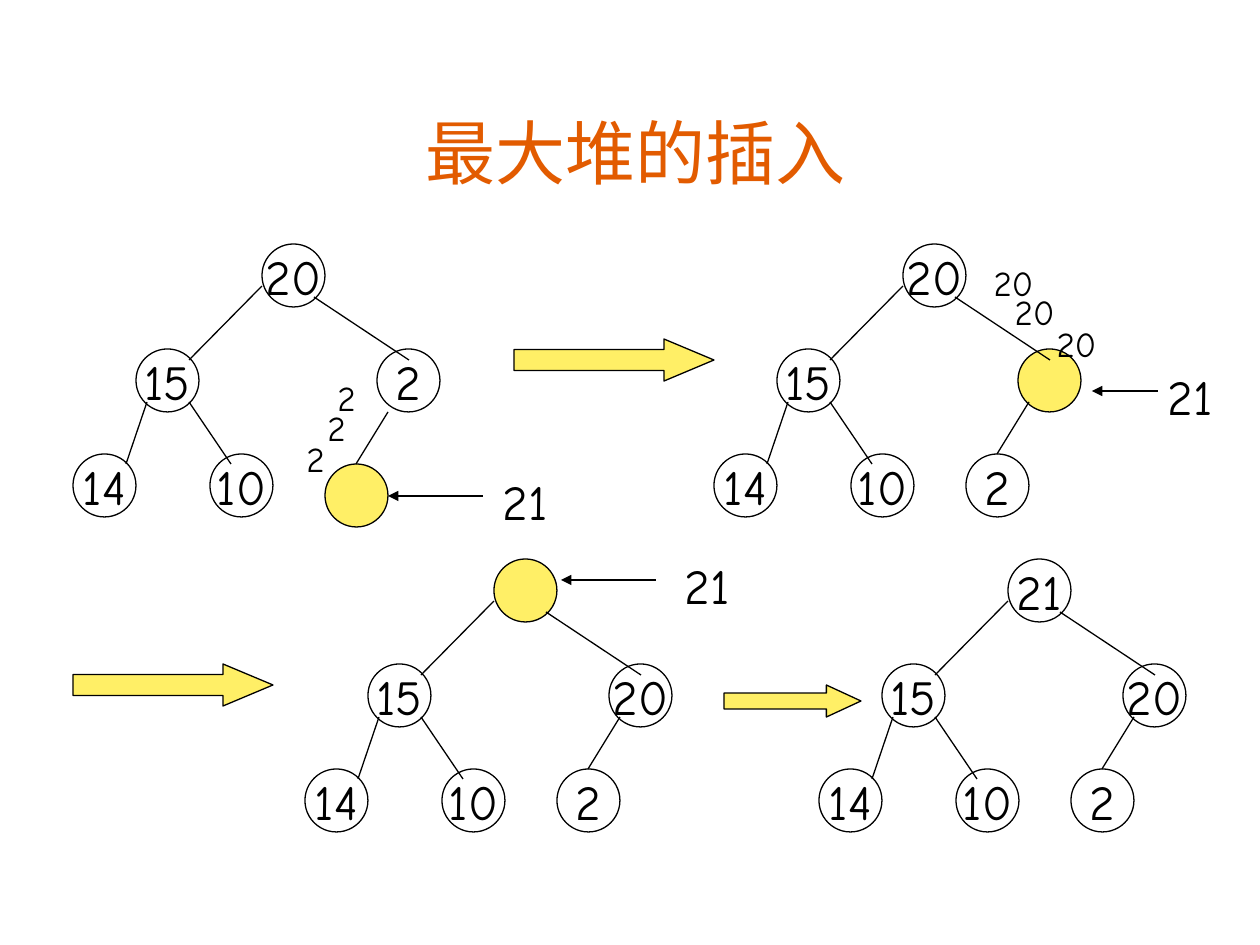
import pptx
import pptx.dml.color
import pptx.enum.shapes
import pptx.enum.text
import pptx.oxml
import pptx.oxml.ns
import pptx.util

PX = 914400 / 126
BLACK = pptx.dml.color.RGBColor(0x00, 0x00, 0x00)
YELLOW = pptx.dml.color.RGBColor(0xFF, 0xEF, 0x66)
ORANGE = pptx.dml.color.RGBColor(0xE2, 0x5B, 0x00)
SHAPE = pptx.enum.shapes.MSO_SHAPE
ANCHOR = pptx.enum.text.MSO_ANCHOR

NODE_SIZE = 63
NODES = [(189, 0), (63, 105), (304, 105), (0, 210), (137, 210), (252, 210)]
EDGES = [
    (189, 42, 116, 116),
    (241, 53, 336, 116),
    (74, 158, 53, 220),
    (116, 158, 158, 220),
    (315, 158, 283, 210),
]


def px(*values):
    return [pptx.util.Emu(round(v * PX)) for v in values]


class HeapSlide:
    font = "Comic Neue"
    title_font = "Noto Sans CJK SC"
    line_width = pptx.util.Pt(0.75)

    def __init__(self, prs):
        self.s = prs.slides.add_slide(prs.slide_layouts[5])

    def set_text(self, tf, text, size, color=BLACK, font=None):
        tf.text = text
        p = tf.paragraphs[0]
        p.alignment = pptx.enum.text.PP_ALIGN.CENTER
        p.font.size = pptx.util.Pt(size)
        p.font.color.rgb = color
        p.font.name = font or self.font

    def title(self, text, *box):
        sp = self.s.shapes.title
        sp.left, sp.top, sp.width, sp.height = px(*box)
        sp.text_frame.vertical_anchor = ANCHOR.BOTTOM
        self.set_text(sp.text_frame, text, 40, ORANGE, self.title_font)
        r = sp.text_frame.paragraphs[0].runs[0]
        ea = pptx.oxml.parse_xml(
            f'<a:ea {pptx.oxml.ns.nsdecls("a")} typeface="{self.title_font}"/>'
        )
        r.font._element.append(ea)

    def shape(self, kind, box, fill=None):
        sp = self.s.shapes.add_shape(kind, *px(*box))
        sp.shadow.inherit = False
        if fill is None:
            sp.fill.background()
        else:
            sp.fill.solid()
            sp.fill.fore_color.rgb = fill
        sp.line.color.rgb = BLACK
        sp.line.width = self.line_width
        return sp

    def node(self, x, y, key):
        box = (x, y, NODE_SIZE, NODE_SIZE)
        sp = self.shape(SHAPE.FLOWCHART_CONNECTOR, box, None if key else YELLOW)
        if key:
            tf = sp.text_frame
            tf.word_wrap = False
            tf.vertical_anchor = ANCHOR.MIDDLE
            self.set_text(tf, key, 28)

    def line(self, *ends, arrowhead=False):
        cx = self.s.shapes.add_connector(
            pptx.enum.shapes.MSO_CONNECTOR.STRAIGHT, *px(*ends)
        )
        cx.line.color.rgb = BLACK
        cx.line.width = self.line_width
        ns = pptx.oxml.ns.nsdecls("a")
        if arrowhead:
            cx.line._get_or_add_ln().append(
                pptx.oxml.parse_xml(f'<a:tailEnd {ns} type="triangle"/>')
            )
        cx._element.spPr.append(pptx.oxml.parse_xml(f"<a:effectLst {ns}/>"))

    def tree(self, x, y, keys, drop=0):
        last = len(NODES) - 1
        for i, ((dx, dy), key) in enumerate(zip(NODES, keys)):
            self.node(x + dx, y + dy + (drop if i == last else 0), key)
        for i, (x1, y1, x2, y2) in enumerate(EDGES):
            shift = drop if i == len(EDGES) - 1 else 0
            self.line(x + x1, y + y1 + shift, x + x2, y + y2 + shift)

    def label(self, text, size, *box):
        tf = self.s.shapes.add_textbox(*px(*box)).text_frame
        tf.word_wrap = True
        self.set_text(tf, text, size)

    def step_arrow(self, *box, head):
        sp = self.shape(SHAPE.RIGHT_ARROW, box, YELLOW)
        sp.adjustments[0] = 0.5
        sp.adjustments[1] = head


def main():
    prs = pptx.Presentation()
    prs.slide_width, prs.slide_height = px(1260, 945)
    s = HeapSlide(prs)
    s.title("最大堆的插入", 95, 95, 1081, 105)

    s.tree(73, 244, ["20", "15", "2", "14", "10", ""], drop=10)
    s.tree(714, 244, ["20", "15", "", "14", "10", "2"])
    s.tree(305, 559, ["", "15", "20", "14", "10", "2"])
    s.tree(819, 559, ["21", "15", "20", "14", "10", "2"])

    for x, y, width in [(483, 465, 84), (1135, 360, 110), (656, 549, 103)]:
        s.label("21", 28, x, y, width, 72)
    for start, end, y in [(483, 388, 496), (1158, 1092, 391), (656, 561, 580)]:
        s.line(start, y, end, y, arrowhead=True)

    for x, y in [(325, 370), (315, 400), (294, 431)]:
        s.label("2", 20, x, y, 32, 55)
    for x, y in [(966, 255), (987, 284), (1029, 316)]:
        s.label("20", 20, x, y, 95, 55)

    s.step_arrow(514, 339, 200, 42, head=1.19)
    s.step_arrow(73, 664, 200, 42, head=1.19)
    s.step_arrow(724, 685, 137, 32, head=1.08)

    prs.save("out.pptx")


if __name__ == "__main__":
    main()
